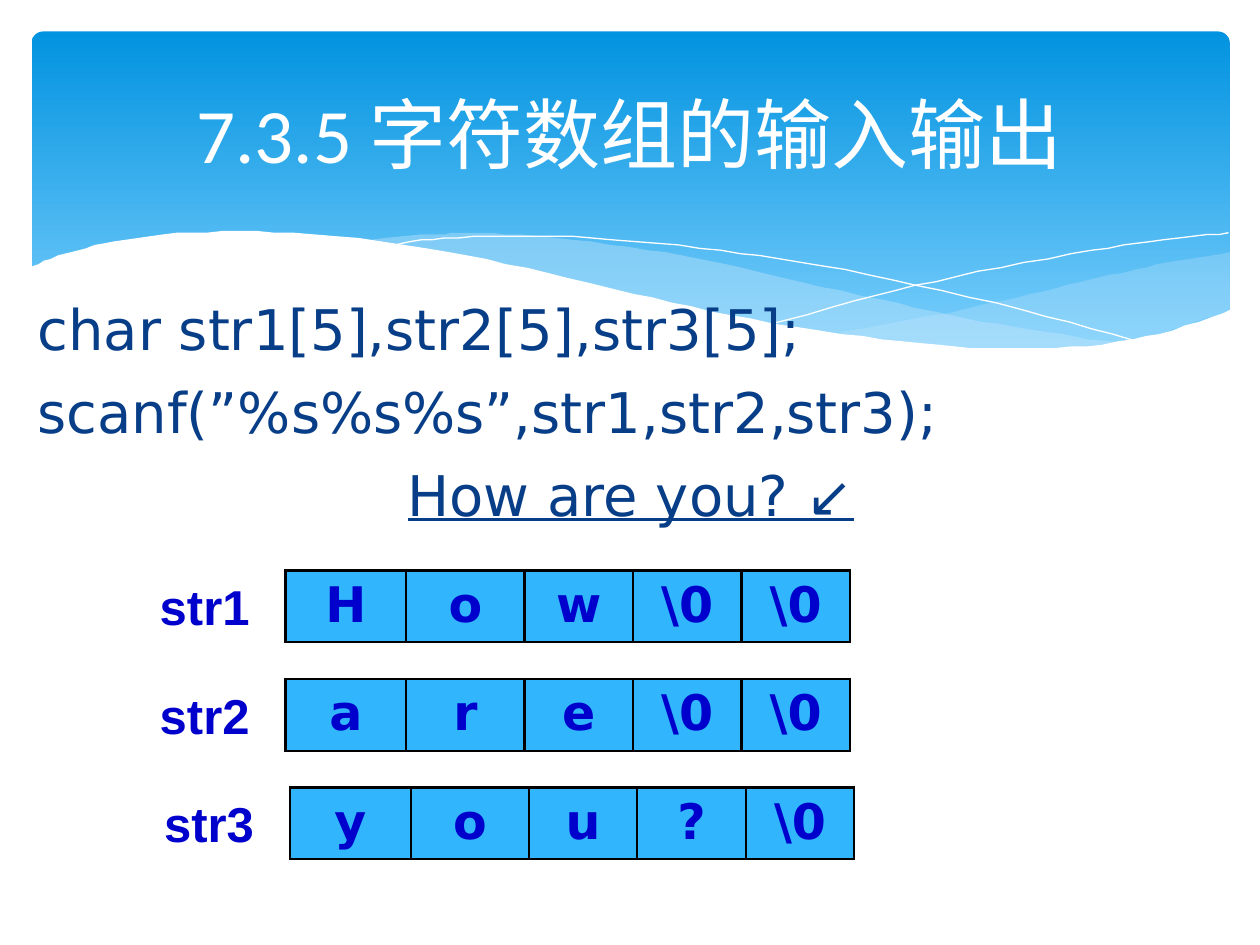
from lxml import etree
from pptx import Presentation
from pptx import util as u
from pptx.dml.color import RGBColor
from pptx.enum import shapes, text
from pptx.oxml.ns import qn

Pt = u.Pt
COLORS = {"sky": "0293E0", "pale": "83D3FE", "mist": "C6E7FC", "white": "FFFFFF",
          "navy": "073E87", "ink": "0000CC", "cell": "31B6FD", "border": "000000"}

# Content
TITLE = "7.3.5 字符数组的输入输出"
CODE = [("char str1[5],str2[5],str3[5];", {}),
        ("scanf(”%s%s%s”,str1,str2,str3);", {}),
        ("How are you? ↙", {"align": "CENTER", "underline": True})]
ARRAYS = [("str1", ["H", "o", "w", r"\0", r"\0"], 0),
          ("str2", ["a", "r", "e", r"\0", r"\0"], 0),
          ("str3", ["y", "o", "u", "?", r"\0"], 2.5)]  # name, cells, shift right
COLUMNS = [69, 67.5, 62, 62, 62]
ROW_TOP, ROW_PITCH, ROW_HEIGHT = 326, 62, 41

# Banner curves: each list of points is joined by a smooth curve
RIGHT_WAVE = [
    [(702.7, 144), (673, 149), (641.5, 155.5), (599, 165.6), (542, 178.6), (476, 190.8)],
    [(476, 190.8), (497.5, 193.7), (536.4, 198), (586, 200), (628, 197.3), (663, 190.8),
     (702.7, 177.8)]]
LONG_WAVE = [
    [(206, 137.5), (247.7, 133.9), (273.6, 133.2), (317.5, 136), (370, 142.6),
     (420.5, 152), (481, 166.3), (533.5, 177.8), (581, 187.2), (643, 196.6)],
    [(643, 196.6), (610.6, 200), (573, 200.6), (530, 198), (478.8, 191.5),
     (420.5, 181.4), (353.5, 167), (307.4, 155.5), (260.6, 146.2), (206, 137.5)]]
FALLING_LINE = [
    [(222.5, 140.4), (247, 136.8), (288.7, 134.6), (337.7, 136), (400, 141.8),
     (458, 149.8), (523.4, 162.7), (598, 180.7), (653, 195.8)]]
RISING_LINE = [
    [(441.4, 185), (500.4, 169.2), (558.7, 155.5), (623.5, 143.3), (665.3, 136.8),
     (702, 133.2)]]
WHITE_WAVE = [
    [(16.6, 153.4), (33, 146.2), (54, 140.4), (85.7, 134.6), (126.7, 132.5), (180, 133.9),
     (244, 141.8), (301, 153.4), (362, 167.8), (417, 180), (481, 190.8), (535.7, 197.3),
     (582.5, 199.4), (630, 196.6), (669.6, 188.6), (703.4, 177.1)],
    [(703.4, 236.9)], [(16.6, 236.9)]]


def rgb(name):
    return RGBColor.from_string(COLORS[name])


def smooth(points, steps=5):
    """Catmull-Rom curve through the points."""
    padded = [points[0], *points, points[-1]]
    curve = [points[0]]
    for a, b, c, d in zip(padded, padded[1:], padded[2:], padded[3:]):
        for t in (step / steps for step in range(1, steps + 1)):
            curve.append(tuple(
                (2 * q + (r - p) * t + (2 * p - 5 * q + 4 * r - s) * t ** 2
                 + (3 * q - p - 3 * r + s) * t ** 3) / 2
                for p, q, r, s in zip(a, b, c, d)))
    return curve


def add_curve(page, pieces, fill=None, alpha=100, line=None):
    points = [point for piece in pieces for point in smooth(piece)]
    builder = page.shapes.build_freeform(*points[0], scale=Pt(1))
    builder.add_line_segments(points[1:], close=fill is not None)
    shape = builder.convert_to_shape()
    shape.shadow.inherit = False
    if fill:
        shape.fill.solid()
        shape.fill.fore_color.rgb = rgb(fill)
        if alpha < 100:
            color = shape.fill._xPr.find(qn("a:solidFill"))[0]
            etree.SubElement(color, qn("a:alpha"), val=str(alpha * 1000))
    else:
        shape.fill.background()
    if line:
        shape.line.color.rgb = rgb(line)
        shape.line.width = Pt(0)
    else:
        shape.line.fill.background()


def write(para, words, size, font, color, bold=False, underline=False, align="LEFT", before=0):
    para.alignment = getattr(text.PP_ALIGN, align)
    para.space_before = Pt(before)
    span = para.add_run()
    span.text = words
    span.font.size, span.font.name = Pt(size), font
    span.font.bold, span.font.underline = bold, underline
    span.font.color.rgb = rgb(color)


def add_box(page, left, top, width, height, anchor="TOP"):
    box = page.shapes.add_textbox(Pt(left), Pt(top), Pt(width), Pt(height))
    box.text_frame.word_wrap = True
    box.text_frame.vertical_anchor = getattr(text.MSO_ANCHOR, anchor)
    return box.text_frame


def add_border(cell):
    properties = cell._tc.get_or_add_tcPr()
    for index, side in enumerate(("lnL", "lnR", "lnT", "lnB")):
        edge = etree.Element(qn("a:" + side), w=str(Pt(1.47)))
        fill = etree.SubElement(edge, qn("a:solidFill"))
        etree.SubElement(fill, qn("a:srgbClr"), val=COLORS["border"])
        properties.insert(index, edge)


def add_array(page, left, top, letters):
    table = page.shapes.add_table(1, len(letters), Pt(left), Pt(top),
                                  Pt(sum(COLUMNS)), Pt(ROW_HEIGHT)).table
    table.first_row = table.horz_banding = False
    for column, width in zip(table.columns, COLUMNS):
        column.width = Pt(width)
    for cell, letter in zip(table.rows[0].cells, letters):
        cell.fill.solid()
        cell.fill.fore_color.rgb = rgb("cell")
        add_border(cell)
        write(cell.text_frame.paragraphs[0], letter, 28, "DejaVu Sans", "ink",
              bold=True, align="CENTER")


def main():
    deck = Presentation()
    deck.slide_width, deck.slide_height = Pt(720), Pt(540)
    page = deck.slides.add_slide(deck.slide_layouts[6])

    # Banner
    banner = page.shapes.add_shape(shapes.MSO_SHAPE.ROUNDED_RECTANGLE,
                                   Pt(18), Pt(18), Pt(684.7), Pt(194.4))
    banner.adjustments[0] = 0.034
    banner.shadow.inherit = False
    banner.line.fill.background()
    banner.fill.gradient()
    banner.fill.gradient_angle = 270
    for stop, name, position in zip(banner.fill.gradient_stops, ("sky", "pale"), (0, 1)):
        stop.color.rgb, stop.position = rgb(name), position
    add_curve(page, RIGHT_WAVE, fill="mist", alpha=29)
    add_curve(page, LONG_WAVE, fill="mist", alpha=40)
    add_curve(page, FALLING_LINE, line="white")
    add_curve(page, RISING_LINE, line="white")
    add_curve(page, WHITE_WAVE, fill="white")

    # Code
    frame = add_box(page, 14.4, 162, 692, 147.6)
    frame.margin_top = Pt(6.5)
    for index, (words, style) in enumerate(CODE):
        para = frame.add_paragraph() if index else frame.paragraphs[0]
        write(para, words, 32, "DejaVu Sans", "navy", before=9, **style)

    # Character arrays with their names
    for index, (name, letters, shift) in enumerate(ARRAYS):
        top = ROW_TOP + index * ROW_PITCH
        add_array(page, 163.2 + shift, top, letters)
        label = add_box(page, 84.2 + shift, top, 73.4, ROW_HEIGHT)
        write(label.paragraphs[0], name, 28, "Arial", "ink", bold=True)

    # Title
    title = add_box(page, 36, 26.6, 648, 98.6, anchor="MIDDLE")
    write(title.paragraphs[0], TITLE, 44, "Calibri", "white", align="CENTER")

    deck.save("out.pptx")


if __name__ == "__main__":
    main()
